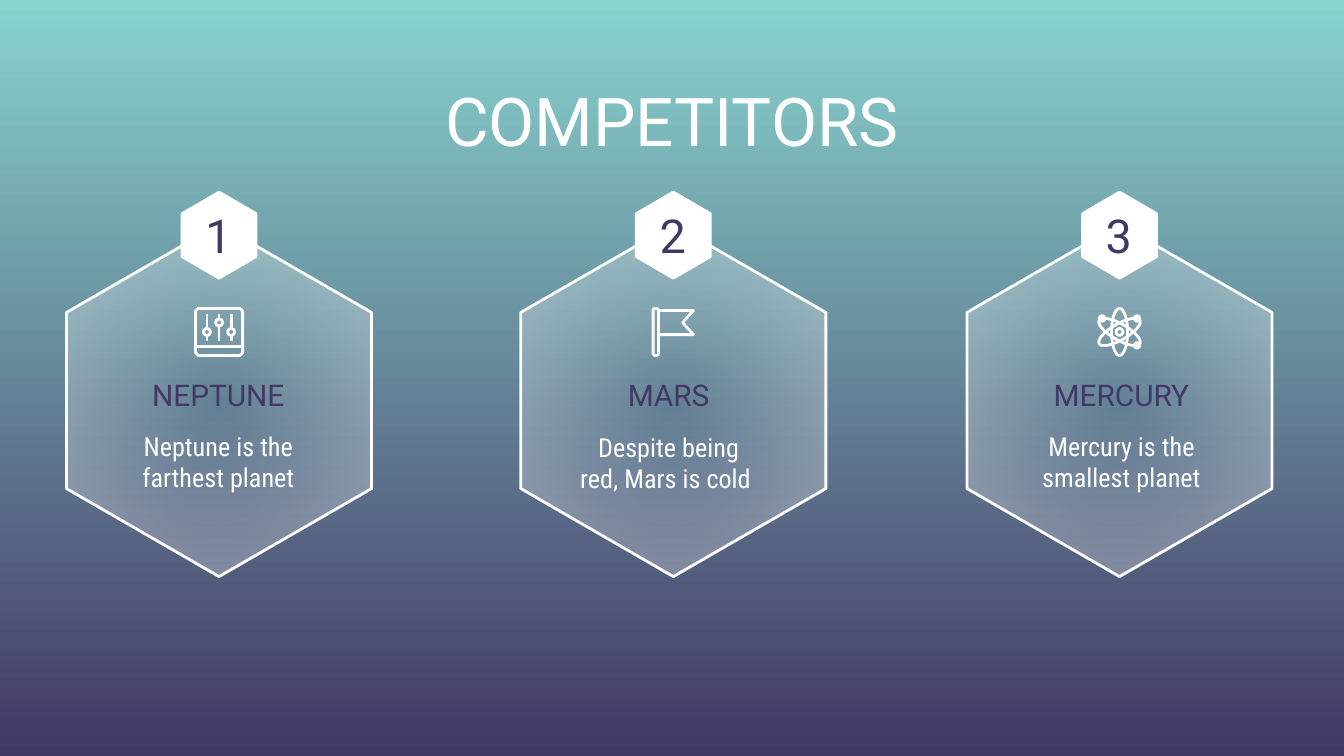
import math
import pptx
import pptx.util
import pptx.dml.color
import pptx.enum.text
import pptx.oxml
import pptx.oxml.ns
from dataclasses import dataclass

Inches = pptx.util.Inches
Anchor = pptx.enum.text.MSO_ANCHOR
qn = pptx.oxml.ns.qn
NS = pptx.oxml.ns.nsdecls("a")


@dataclass(frozen=True)
class Theme:
    white: str = "FFFFFF"
    dark: str = "423864"
    mint: str = "88D3CE"
    head: str = "Roboto"
    body: str = "Roboto Condensed"
    title: int = 36
    number: int = 25
    name: int = 16
    text: int = 14
    line: float = 1.5


theme = Theme()


def rgb(value):
    return pptx.dml.color.RGBColor.from_string(value)


def write(slide, box, text, size, font, color, anchor=Anchor.TOP):
    frame = slide.shapes.add_textbox(*map(Inches, box)).text_frame
    form = {"word_wrap": True, "vertical_anchor": anchor}
    form.update({f"margin_{side}": Inches(0.1) for side in ("left", "top", "right", "bottom")})
    for key, value in form.items():
        setattr(frame, key, value)
    para = frame.paragraphs[0]
    para.alignment = pptx.enum.text.PP_ALIGN.CENTER
    run = para.add_run()
    run.text = text
    for key, value in {"size": pptx.util.Pt(size), "name": font}.items():
        setattr(run.font, key, value)
    run.font.color.rgb = rgb(color)


def draw(slide, x, y, *parts, fill=None):
    build = None
    for points in parts:
        spots = [(Inches(x + a), Inches(y + b)) for a, b in points]
        if build is None:
            build = slide.shapes.build_freeform(*spots[0])
        else:
            build.move_to(*spots[0])
        build.add_line_segments(spots[1:], close=len(spots) > 2)
    shape = build.convert_to_shape()
    shape.shadow.inherit = False
    if fill:
        shape.fill.solid()
        shape.fill.fore_color.rgb = rgb(fill)
    else:
        shape.fill.background()
    shape.line.color.rgb = rgb(theme.white)
    shape.line.width = pptx.util.Pt(theme.line)
    return shape


def ring(x, y, w, h, turn=0, count=36):
    cos, sin = math.cos(math.radians(turn)), math.sin(math.radians(turn))
    points = []
    for step in range(count):
        angle = 2 * math.pi * step / count
        a, b = w / 2 * math.cos(angle), h / 2 * math.sin(angle)
        points.append((x + a * cos - b * sin, y + a * sin + b * cos))
    return points


def panel(x, y, w, h, cut):
    a, b = w / 2, h / 2
    corners = [(cut - a, -b), (a - cut, -b), (a, cut - b), (a, b - cut),
               (a - cut, b), (cut - a, b), (-a, b - cut), (-a, cut - b)]
    return [(x + p, y + q) for p, q in corners]


def hexagon(slide, x, y, w, h, fill=None):
    sides = [(0, -0.5), (0.5, -0.25), (0.5, 0.25), (0, 0.5), (-0.5, 0.25), (-0.5, -0.25)]
    return draw(slide, x, y, [(a * w, b * h) for a, b in sides], fill=fill)


def glow(shape):
    shape.fill.gradient()
    for stop in shape.fill.gradient_stops:
        stop.color.rgb = rgb(theme.white)
    grad = shape._element.spPr.find(qn("a:gradFill"))
    for color, alpha in zip(grad.iter(qn("a:srgbClr")), (0, 39000)):
        color.append(pptx.oxml.parse_xml(f'<a:alpha {NS} val="{alpha}"/>'))
    grad.replace(grad.find(qn("a:lin")), pptx.oxml.parse_xml(
        f'<a:path {NS} path="circle"><a:fillToRect l="50000" t="50000" r="50000" b="50000"/></a:path>'))


def mixer(slide, x, y):
    draw(slide, x, y, panel(0, 0, 0.35, 0.35, 0.02), [(-0.17, 0.11), (0.17, 0.11)])
    for mid, knob in ((-0.09, 0), (0, -0.07), (0.09, 0)):
        draw(slide, x + mid, y, [(0, -0.13), (0, knob - 0.03)],
             ring(0, knob, 0.05, 0.05), [(0, knob + 0.03), (0, 0.07)])


def flag(slide, x, y):
    banner = [(-0.11, -0.16), (0.15, -0.16), (0.07, -0.07), (0.15, 0.02), (-0.11, 0.02)]
    draw(slide, x, y, panel(-0.13, 0, 0.04, 0.35, 0.01), banner)


def atom(slide, x, y):
    orbits = [ring(0, 0, 0.12, 0.35, turn) for turn in (0, 60, 120)]
    dots = [ring(a, b, 0.04, 0.04) for a, b in ((-0.13, -0.1), (0.13, -0.1), (0.13, 0.1))]
    draw(slide, x, y, *orbits, *dots)
    draw(slide, x, y, ring(0, 0, 0.05, 0.05))


def card(slide, x, left, number, icon, name, text, drop):
    glow(hexagon(slide, x, 2.98, 2.27, 2.62))
    hexagon(slide, x, 1.75, 0.55, 0.64, theme.white)
    write(slide, (x - 0.32, 1.52, 0.63, 0.46), str(number), theme.number,
          theme.head, theme.dark, Anchor.MIDDLE)
    icon(slide, x, 2.47)
    write(slide, (left, 2.7, 1.57, 0.37), name, theme.name, theme.head, theme.dark)
    write(slide, (left, 3.1 + drop, 1.57, 0.66), text, theme.text, theme.body, theme.white)


def main():
    deck = pptx.Presentation()
    deck.slide_width = Inches(10)
    deck.slide_height = deck.slide_width * 9 // 16
    slide = deck.slides.add_slide(deck.slide_layouts[6])
    back = slide.background.fill
    back.gradient()
    back.gradient_angle = 270
    for stop, color in zip(back.gradient_stops, (theme.mint, theme.dark)):
        stop.color.rgb = rgb(color)
    write(slide, (0.59, 0.49, 8.82, 0.73), "COMPETITORS", theme.title, theme.head, theme.white)
    cards = [
        (1.63, 0.84, mixer, "NEPTUNE", "Neptune is the farthest planet", 0),
        (5.01, 4.19, flag, "MARS", "Despite being red, Mars is cold ", 0.01),
        (8.33, 7.56, atom, "MERCURY", "Mercury is the smallest planet", 0),
    ]
    for number, (x, left, icon, name, text, drop) in enumerate(cards, 1):
        card(slide, x, left, number, icon, name, text, drop)
    deck.save("out.pptx")


if __name__ == "__main__":
    main()
